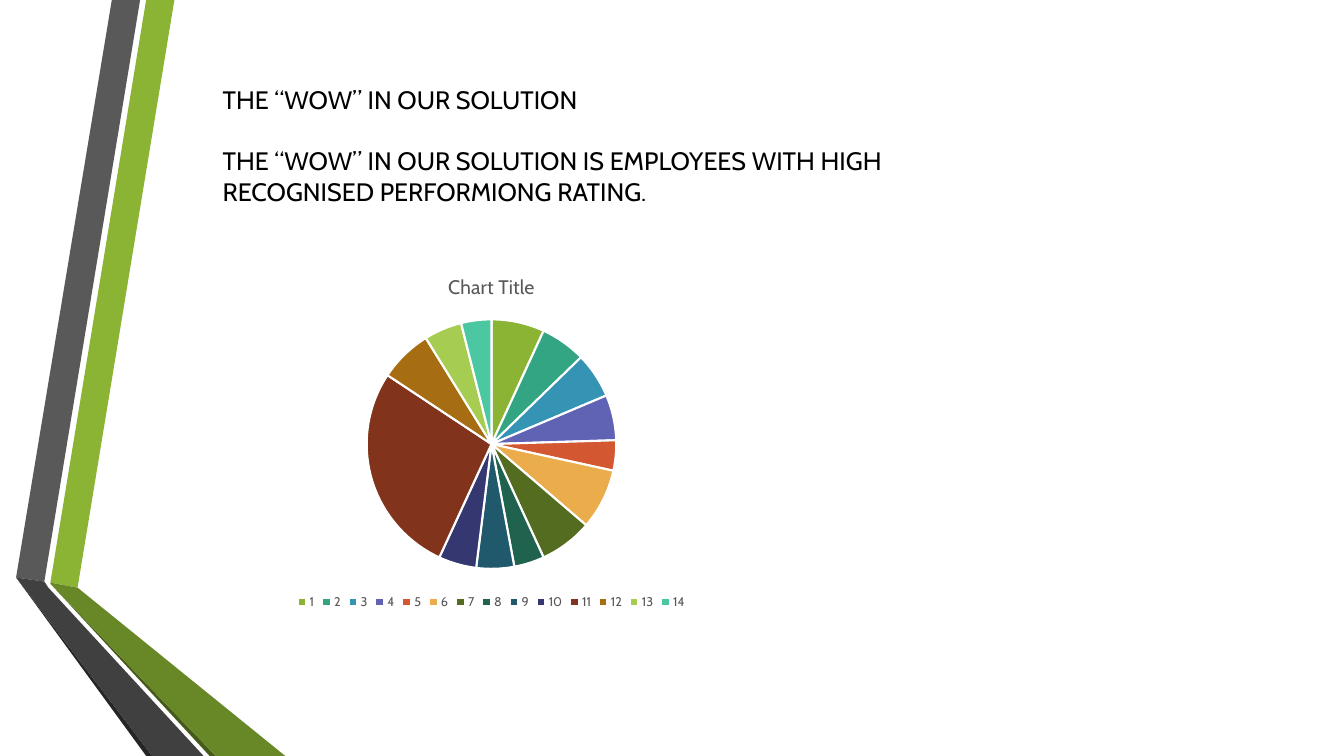
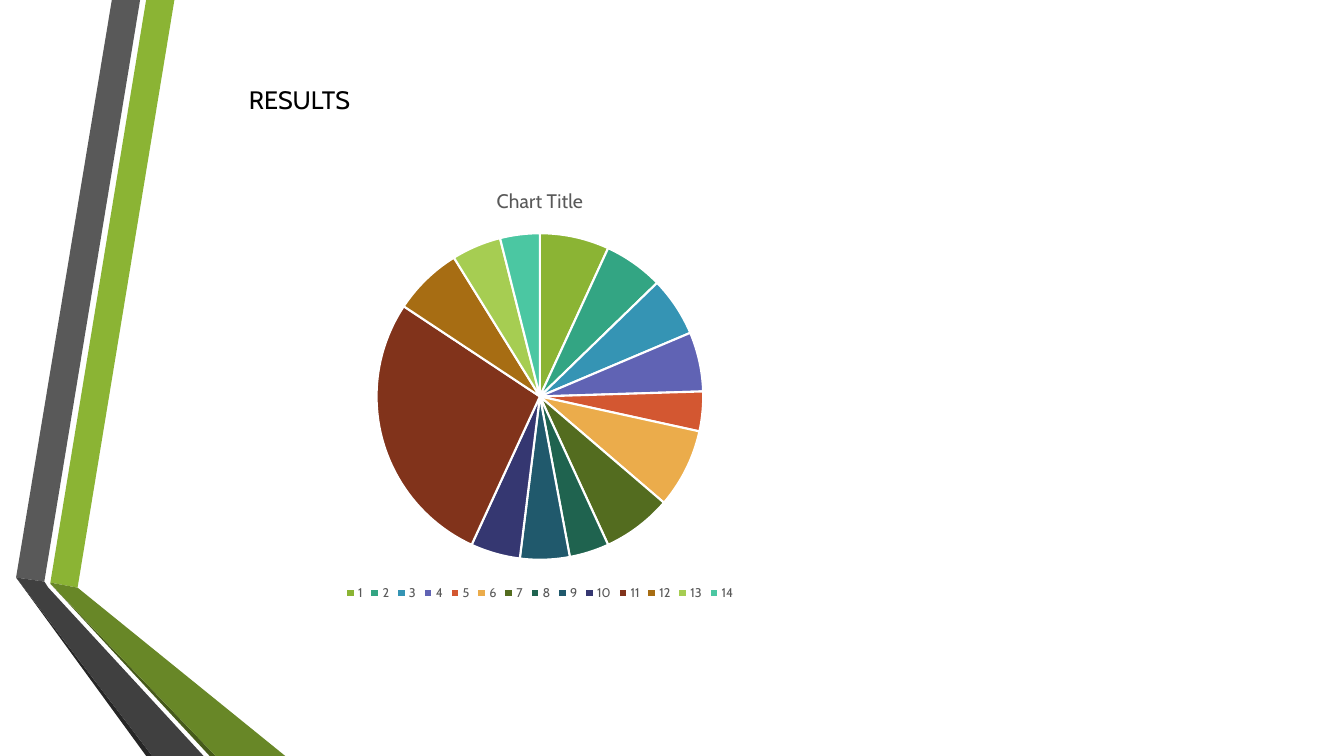
from pptx import Presentation
from pptx.chart.data import CategoryChartData
from pptx.dml.color import RGBColor
from pptx.enum import chart as charts, text
from pptx.util import Inches, Pt

FONT = "Cabin"
BLACK = RGBColor(0x00, 0x00, 0x00)
WHITE = RGBColor(0xFF, 0xFF, 0xFF)
GRAY = RGBColor(0x59, 0x59, 0x59)
GREEN = RGBColor(0x8B, 0xB4, 0x34)
SHADOW_GRAY = RGBColor(0x26, 0x26, 0x26)
DARK_GRAY = RGBColor(0x40, 0x40, 0x40)
SHADOW_GREEN = RGBColor(0x46, 0x5A, 0x1A)
DARK_GREEN = RGBColor(0x68, 0x87, 0x27)

SLICE_COLORS = [GREEN] + [RGBColor.from_string(code) for code in (
    "33A583", "3594B4", "6063B4", "D35731", "EBAC4B", "536C1F", "1F634F",
    "20596C", "353771", "81331B", "A76D13", "A6CD52", "4BC7A2")]
RATINGS = (7, 6, 6, 6, 4, 8, 7, 4, 5, 5, 28, 7, 5, 4)

# Folded ribbons at the left edge, back to front, corners in inches
RIBBONS = (
    (GREEN, ((0.5, 5.78), (0.77, 5.83), (1.73, 0), (1.45, 0))),
    (GRAY, ((1.39, 0), (1.11, 0), (0.16, 5.73), (0.44, 5.77))),
    (SHADOW_GRAY, ((0.16, 5.73), (1.45, 7.5), (1.51, 7.5))),
    (SHADOW_GREEN, ((0.5, 5.79), (2.08, 7.5), (2.14, 7.5))),
    (DARK_GREEN, ((0.5, 5.78), (0.5, 5.79), (2.14, 7.5), (2.83, 7.5), (0.77, 5.83))),
    (DARK_GRAY, ((2.02, 7.5), (0.48, 5.83), (0.44, 5.77), (0.16, 5.73), (1.51, 7.5))),
)


class DeckBuilder:
    def __init__(self):
        self.deck = Presentation()
        self.deck.slide_width = Inches(13.33)
        self.deck.slide_height = Inches(7.5)
        self.page = None

    def add_page(self):
        self.page = self.deck.slides.add_slide(self.deck.slide_layouts[6])
        self.page.background.fill.solid()
        self.page.background.fill.fore_color.rgb = WHITE
        for color, corners in RIBBONS:
            self.add_ribbon(color, corners)

    def add_ribbon(self, color, corners):
        first, *rest = [(Inches(x), Inches(y)) for x, y in corners]
        outline = self.page.shapes.build_freeform(*first)
        outline.add_line_segments(rest, close=True)
        ribbon = outline.convert_to_shape()
        ribbon.shadow.inherit = False
        ribbon.fill.solid()
        ribbon.fill.fore_color.rgb = color
        ribbon.line.fill.background()

    def style_font(self, font, size, color):
        font.name = FONT
        font.size = Pt(size)
        font.bold = False
        font.color.rgb = color

    def add_heading(self, left, top, width, height, *lines):
        box = self.page.shapes.add_textbox(
            Inches(left), Inches(top), Inches(width), Inches(height))
        frame = box.text_frame
        frame.word_wrap = True
        frame.auto_size = text.MSO_AUTO_SIZE.SHAPE_TO_FIT_TEXT
        frame.text = "\n".join(lines)
        for index, para in enumerate(frame.paragraphs):
            if index:
                para.space_before = Pt(22)
            for span in para.runs:
                self.style_font(span.font, 18, BLACK)

    def add_pie(self, left, top, width, height):
        data = CategoryChartData()
        data.categories = [str(number) for number in range(1, len(RATINGS) + 1)]
        data.add_series("Series 1", RATINGS)
        pie = self.page.shapes.add_chart(
            charts.XL_CHART_TYPE.PIE, Inches(left), Inches(top),
            Inches(width), Inches(height), data).chart
        self.style_font(pie.font, 10, BLACK)

        # Title and legend
        pie.has_title = True
        title = pie.chart_title.text_frame
        title.text = "Chart Title"
        self.style_font(title.paragraphs[0].runs[0].font, 14, GRAY)
        pie.chart_title.include_in_layout = False
        pie.has_legend = True
        pie.legend.position = charts.XL_LEGEND_POSITION.BOTTOM
        pie.legend.include_in_layout = False
        self.style_font(pie.legend.font, 9, GRAY)

        # Slices
        plot = pie.plots[0]
        plot.vary_by_categories = True
        for index, color in enumerate(SLICE_COLORS):
            slice_format = plot.series[0].points[index].format
            slice_format.fill.solid()
            slice_format.fill.fore_color.rgb = color
            slice_format.line.color.rgb = WHITE
            slice_format.line.width = Pt(1.5)


def main():
    builder = DeckBuilder()

    # Solution
    builder.add_page()
    builder.add_heading(
        2.11, 0.79, 6.86, 1.31,
        "THE “WOW” IN OUR SOLUTION",
        "THE “WOW” IN OUR SOLUTION IS EMPLOYEES WITH HIGH "
        "RECOGNISED PERFORMIONG RATING.")
    builder.add_pie(1.73, 2.55, 6.29, 3.54)

    # Results
    builder.add_page()
    builder.add_heading(2.37, 0.79, 4.51, 0.4, "RESULTS")
    builder.add_pie(2.07, 1.68, 6.57, 4.32)

    builder.deck.save("out.pptx")


if __name__ == "__main__":
    main()
